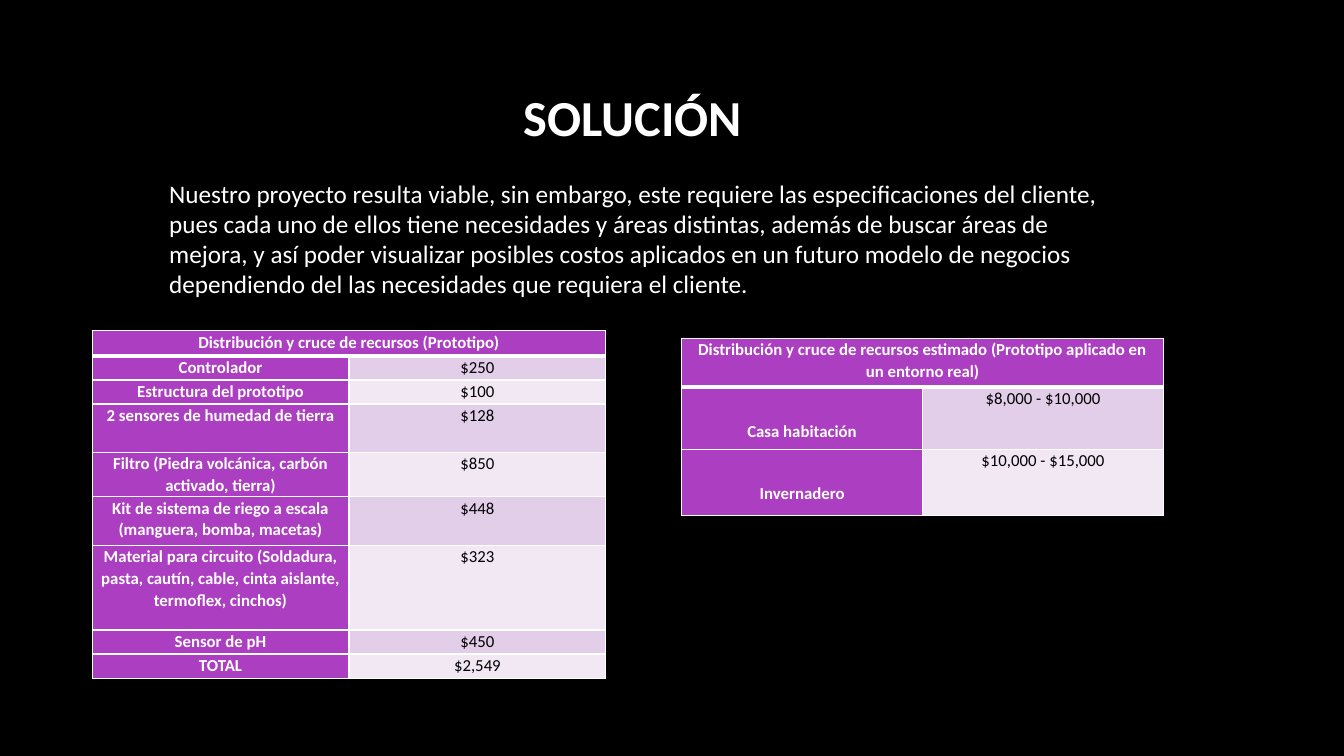
from dataclasses import dataclass

from lxml import etree
from pptx import Presentation
from pptx.dml.color import RGBColor
from pptx.enum.text import MSO_ANCHOR, PP_ALIGN
from pptx.oxml.ns import qn
from pptx.util import Pt

LEFT, CENTER = PP_ALIGN.LEFT, PP_ALIGN.CENTER
MIDDLE, TOP = MSO_ANCHOR.MIDDLE, MSO_ANCHOR.TOP


@dataclass(frozen=True)
class Theme:
    font: str = "Calibri"
    background: str = "000000"
    light: str = "FFFFFF"
    dark: str = "000000"
    label: str = "AC3EC1"
    bands: tuple = ("E3CEE9", "F1E8F4")
    title_size: int = 36
    body_size: int = 18
    table_size: int = 12
    border: int = 1
    header_border: int = 3


class SlideBuilder:
    def __init__(self, s, theme):
        self.s, self.theme = s, theme
        fill = s.background.fill
        fill.solid()
        fill.fore_color.rgb = RGBColor.from_string(theme.background)

    def add_text(self, tf, text, size, color, bold=False, align=LEFT, after=0, spacing=1.0):
        p = tf.paragraphs[0]
        p.alignment, p.space_after, p.line_spacing = align, Pt(after), spacing
        r = p.add_run()
        r.text = text
        r.font.name, r.font.size, r.font.bold = self.theme.font, Pt(size), bold
        r.font.color.rgb = RGBColor.from_string(color)

    def text_box(self, box, text, size, **style):
        tf = self.s.shapes.add_textbox(*map(Pt, box)).text_frame
        tf.word_wrap = True
        tf.vertical_anchor = MIDDLE
        self.add_text(tf, text, size, self.theme.light, **style)

    def borders(self, cell, top, bottom):
        tc_pr = cell._tc.get_or_add_tcPr()
        widths = {"L": self.theme.border, "R": self.theme.border, "T": top, "B": bottom}
        for index, (side, width) in enumerate(widths.items()):
            ln = etree.Element(qn(f"a:ln{side}"), w=str(Pt(width)))
            solid = etree.SubElement(ln, qn("a:solidFill"))
            etree.SubElement(solid, qn("a:srgbClr"), val=self.theme.light)
            tc_pr.insert(index, ln)

    def cell(self, cell, text, fill, color, bold, row, drop=0):
        t = self.theme
        cell.fill.solid()
        cell.fill.fore_color.rgb = RGBColor.from_string(fill)
        cell.margin_left = cell.margin_right = Pt(5)
        cell.margin_top, cell.margin_bottom = Pt(drop), Pt(0)
        cell.vertical_anchor = TOP
        if text:
            self.add_text(cell.text_frame, text, t.table_size, color, bold,
                          CENTER, after=8, spacing=1.07)
        self.borders(cell, t.header_border if row == 1 else t.border,
                     t.header_border if row == 0 else t.border)

    def cost_table(self, left, top, width, heading, costs, heights, label_drop=0):
        t = self.theme
        frame = self.s.shapes.add_table(len(heights), 2, Pt(left), Pt(top),
                                        Pt(width), Pt(sum(heights)))
        table = frame.table
        table.horz_banding = False
        for column in table.columns:
            column.width = Pt(width / 2)
        for row, height in zip(table.rows, heights):
            row.height = Pt(height)

        # Heading across both columns
        table.cell(0, 0).merge(table.cell(0, 1))
        for col, text in enumerate((heading, "")):
            self.cell(table.cell(0, col), text, t.label, t.light, True, 0)

        # Labels and banded costs
        for row, (label, cost) in enumerate(costs, start=1):
            self.cell(table.cell(row, 0), label, t.label, t.light, True, row, label_drop)
            self.cell(table.cell(row, 1), cost, t.bands[(row - 1) % 2], t.dark, False, row)


PROTOTYPE_COSTS = [
    ("Controlador", "$250"),
    ("Estructura del prototipo", "$100"),
    ("2 sensores de humedad de tierra", "$128"),
    ("Filtro (Piedra volcánica, carbón activado, tierra)", "$850"),
    ("Kit de sistema de riego a escala (manguera, bomba, macetas)", "$448"),
    ("Material para circuito (Soldadura, pasta, cautín, cable, cinta aislante, "
     "termoflex, cinchos)", "$323"),
    ("Sensor de pH", "$450"),
    ("TOTAL", "$2,549"),
]
REAL_COSTS = [
    ("Casa habitación", "$8,000 - $10,000"),
    ("Invernadero", "$10,000 - $15,000"),
]
SUMMARY = (
    "Nuestro proyecto resulta viable, sin embargo, este requiere las especificaciones "
    "del cliente, pues cada uno de ellos tiene necesidades y áreas distintas, además de "
    "buscar áreas de mejora, y así poder visualizar posibles costos aplicados en un "
    "futuro modelo de negocios dependiendo del las necesidades que requiera el cliente."
)


def main():
    prs = Presentation()
    prs.slide_width, prs.slide_height = Pt(960), Pt(540)
    theme = Theme()
    slide = SlideBuilder(prs.slides.add_slide(prs.slide_layouts[6]), theme)

    # Title and summary
    slide.text_box((176.4, 50.4, 551.5, 65.5), "SOLUCIÓN", theme.title_size,
                   bold=True, align=CENTER)
    slide.text_box((113.8, 103.7, 676.8, 133.2), SUMMARY, theme.body_size, after=10)

    # Cost tables
    slide.cost_table(65.8, 236.2, 367, "Distribución y cruce de recursos (Prototipo)",
                     PROTOTYPE_COSTS,
                     [18, 17.2, 17.2, 34.7, 31.5, 34.7, 60.5, 17.2, 17.8])
    slide.cost_table(486.9, 241.7, 344.2,
                     "Distribución y cruce de recursos estimado "
                     "(Prototipo aplicado en un entorno real)",
                     REAL_COSTS, [34.7, 44.6, 47.5], label_drop=23.5)

    prs.save("out.pptx")


if __name__ == "__main__":
    main()
